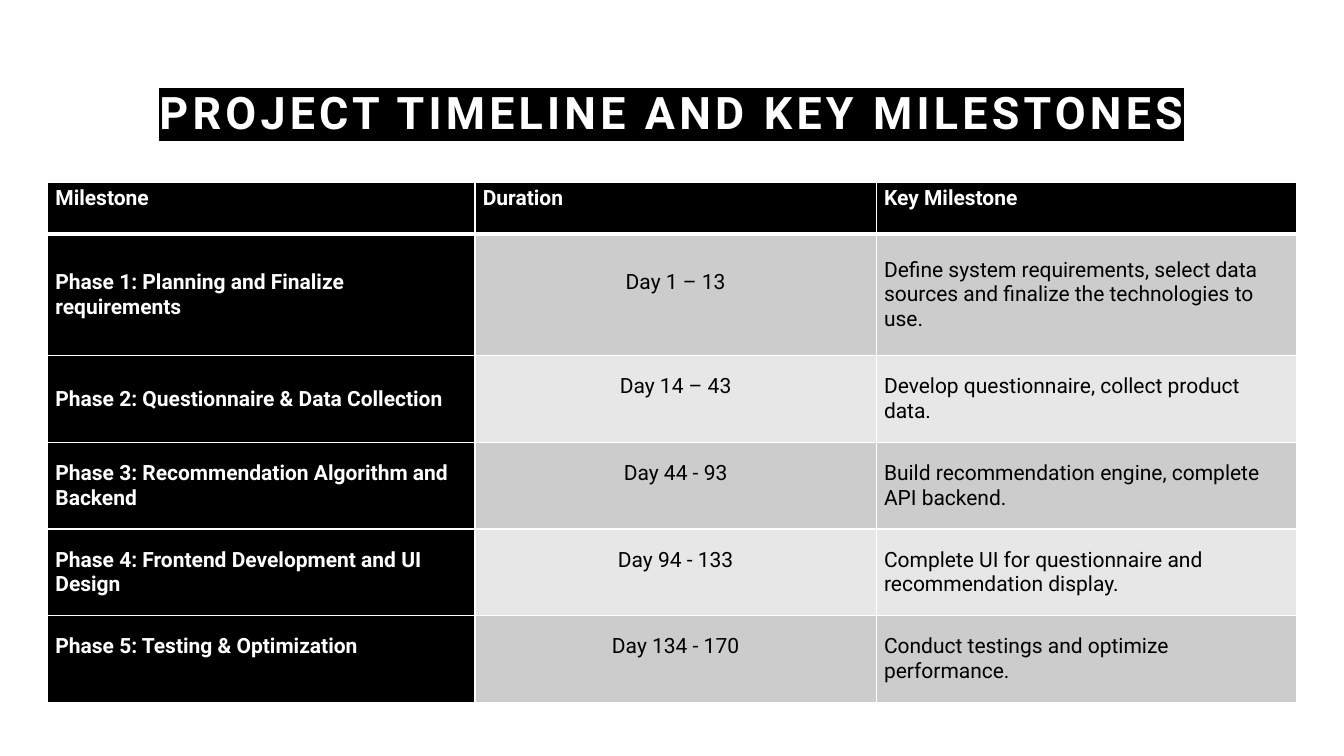
"""Build a slide with a project timeline table of five phases."""
from lxml import etree
from pptx import Presentation
from pptx.dml.color import RGBColor
from pptx.enum import text
from pptx.oxml import ns
from pptx.util import Pt

TITLE = "PROJECT TIMELINE AND KEY MILESTONES"
HEADER = ("Milestone", "Duration", "Key Milestone")
PHASES = [
    ("Phase 1: Planning and Finalize requirements", "Day 1 – 13",
     "Define system requirements, select data sources and finalize the technologies to use."),
    ("Phase 2: Questionnaire & Data Collection", "Day 14 – 43",
     "Develop questionnaire, collect product data."),
    ("Phase 3: Recommendation Algorithm and Backend", "Day 44 - 93",
     "Build recommendation engine, complete API backend."),
    ("Phase 4: Frontend Development and UI Design", "Day 94 - 133",
     "Complete UI for questionnaire and recommendation display."),
    ("Phase 5: Testing & Optimization", "Day 134 - 170",
     "Conduct testings and optimize performance."),
]
COLUMN_WIDTHS = (305.3, 286.6, 300.2)
ROW_HEIGHTS = (36.7, 87.1, 61.9, 61.9, 61.9, 61.9)
TABLE_LEFT, TABLE_TOP = 34, 130.3
LINE = 17.6
BLACK, WHITE = "000000", "FFFFFF"
BANDS = ("E7E7E7", "CCCCCC")


def paint(colour_format, colour):
    colour_format.rgb = RGBColor.from_string(colour)


def fill_with(fill, colour):
    fill.solid()
    paint(fill.fore_color, colour)


def style(paragraph, size, colour, bold):
    font = paragraph.runs[0].font
    font.name, font.size, font.bold = "Roboto", Pt(size), bold
    paint(font.color, colour)


def add_solid(parent, colour):
    solid = etree.SubElement(parent, ns.qn("a:solidFill"))
    etree.SubElement(solid, ns.qn("a:srgbClr"), val=colour)


def add_borders(cell, top, bottom):
    properties = cell._tc.get_or_add_tcPr()
    for side, width in (("L", 1), ("R", 1), ("T", top), ("B", bottom)):
        border = etree.SubElement(properties, ns.qn("a:ln" + side), w=str(Pt(width)))
        add_solid(border, WHITE)


def add_title(slide):
    title = slide.shapes.title
    title.left, title.top, title.width, title.height = map(Pt, (104.4, 38.9, 751, 74.2))
    frame = title.text_frame
    frame.text = TITLE
    frame.word_wrap = True
    frame.auto_size = text.MSO_AUTO_SIZE.NONE
    frame.vertical_anchor = text.MSO_ANCHOR.MIDDLE
    heading = frame.paragraphs[0]
    heading.alignment = text.PP_ALIGN.CENTER
    heading.line_spacing = 1.2
    heading.space_after = Pt(6)
    style(heading, 32, WHITE, True)
    properties = heading.runs[0].font._element
    properties.set("spc", "300")
    highlight = etree.Element(ns.qn("a:highlight"))
    etree.SubElement(highlight, ns.qn("a:srgbClr"), val=BLACK)
    properties.find(ns.qn("a:solidFill")).addnext(highlight)


def add_timeline(slide):
    rows = [HEADER] + PHASES
    timeline = slide.shapes.add_table(
        len(rows), len(HEADER), Pt(TABLE_LEFT), Pt(TABLE_TOP),
        Pt(sum(COLUMN_WIDTHS)), Pt(sum(ROW_HEIGHTS))).table
    for column, width in zip(timeline.columns, COLUMN_WIDTHS):
        column.width = Pt(width)
    for row, height in zip(timeline.rows, ROW_HEIGHTS):
        row.height = Pt(height)
    for r, entries in enumerate(rows):
        for c, entry in enumerate(entries):
            cell = timeline.cell(r, c)
            is_header = r == 0
            is_dark = is_header or c == 0
            is_duration = not is_header and c == 1
            is_raised = is_duration or (r == len(PHASES) and c == 0)
            add_borders(cell, 3 if r == 1 else 1, 3 if is_header else 1)
            fill_with(cell.fill, BLACK if is_dark else BANDS[r % 2])
            cell.margin_left = cell.margin_right = Pt(5.6)
            cell.margin_top = Pt(2.8)
            cell.margin_bottom = Pt(2.8 + LINE * is_raised)
            cell.vertical_anchor = text.MSO_ANCHOR.TOP if is_header else text.MSO_ANCHOR.MIDDLE
            cell.text_frame.text = entry
            paragraph = cell.text_frame.paragraphs[0]
            paragraph.alignment = text.PP_ALIGN.CENTER if is_duration else text.PP_ALIGN.LEFT
            style(paragraph, 15, WHITE if is_dark else BLACK, is_dark)


def main():
    deck = Presentation()
    deck.slide_width, deck.slide_height = Pt(960), Pt(540)
    slide = deck.slides.add_slide(deck.slide_layouts[5])
    fill_with(slide.background.fill, WHITE)
    add_title(slide)
    add_timeline(slide)
    deck.save("out.pptx")


if __name__ == "__main__":
    main()
